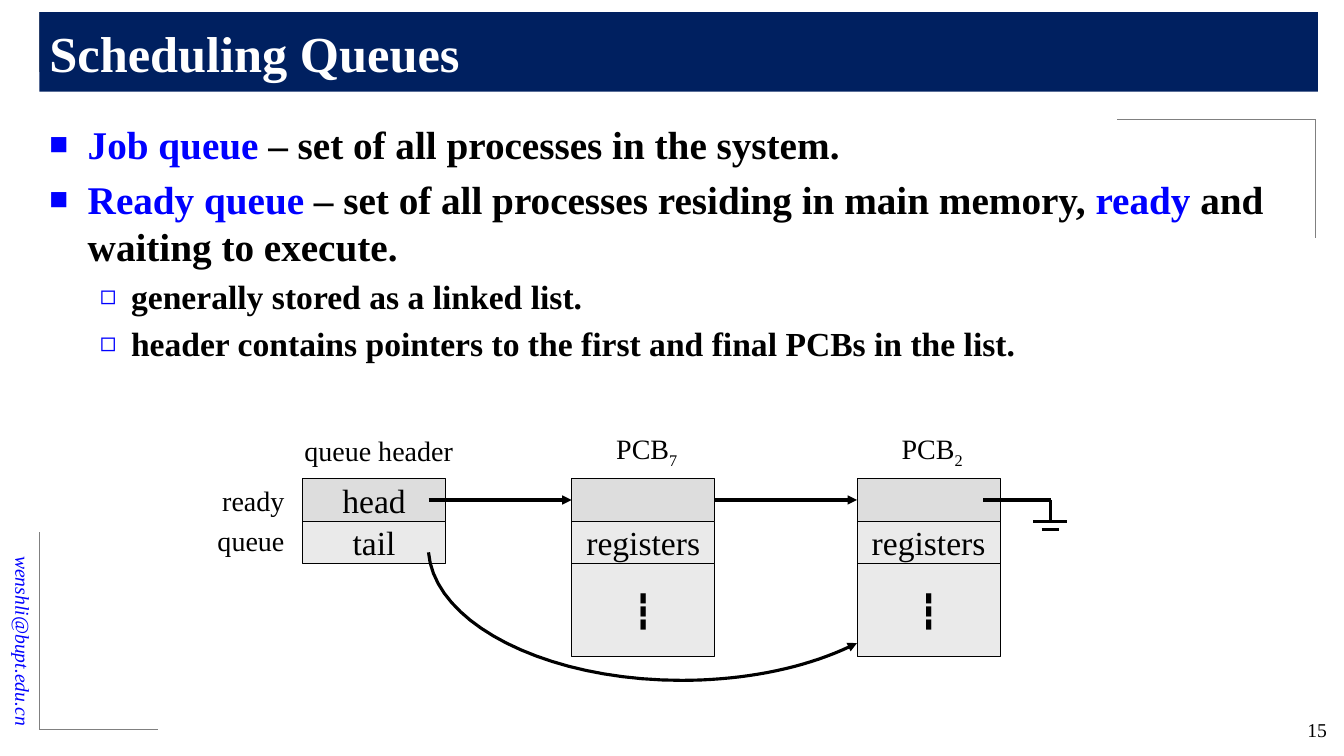
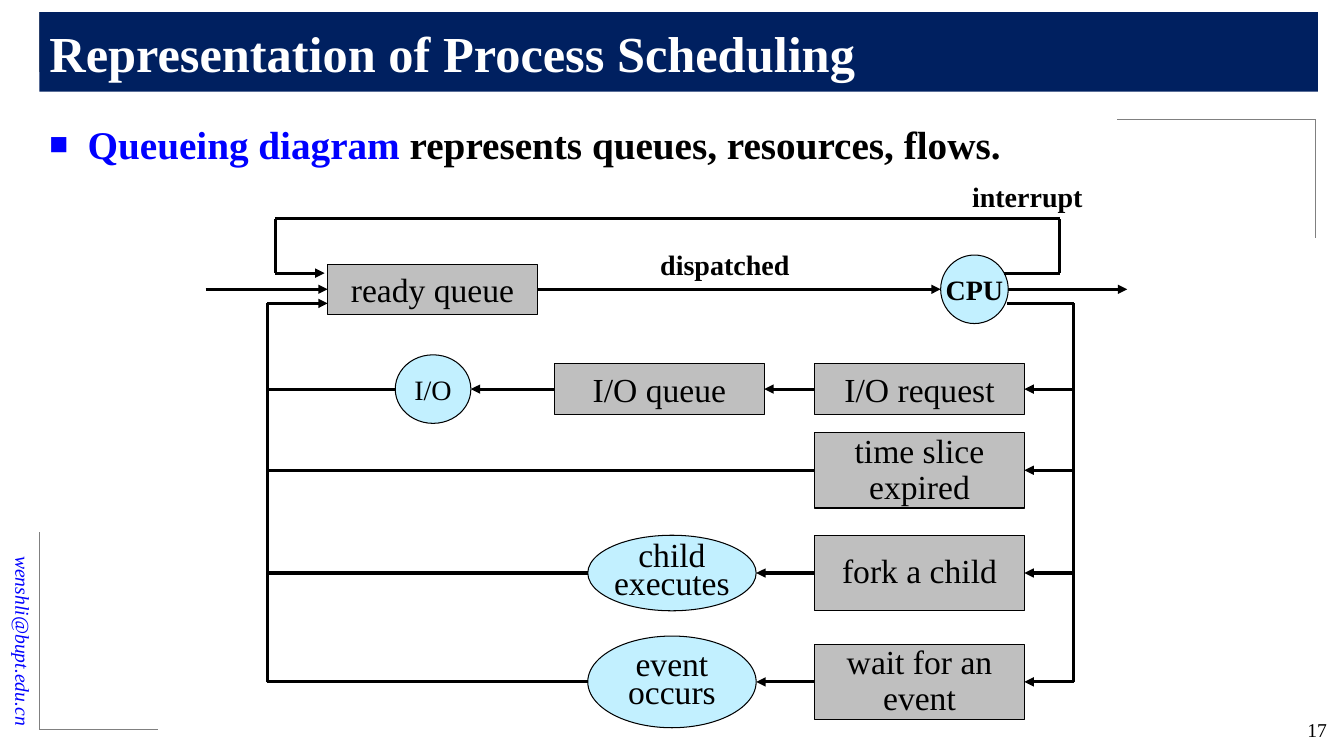
"""Build two slides on process scheduling queues."""
import dataclasses

import lxml.etree
import pptx
import pptx.dml.color
import pptx.enum.shapes
import pptx.enum.text
import pptx.oxml.ns
import pptx.shapes.base
import pptx.util

Inches = pptx.util.Inches
Pt = pptx.util.Pt
Shape = pptx.enum.shapes.MSO_SHAPE
Align = pptx.enum.text.PP_ALIGN
Anchor = pptx.enum.text.MSO_ANCHOR

FONT = "Times New Roman"
COLORS = {
    "navy": "002060", "blue": "0000FF", "black": "000000", "white": "FFFFFF",
    "rule": "808080", "header": "DDDDDD", "cell": "EAEAEA",
    "queue": "BFBFBF", "resource": "C2F0FF",
}
LEFT, RIGHT = 1, 3
LIST_LEVELS = [
    {"size": 28, "margin": 0.38, "hang": 0.38, "bullet": "■"},
    {"size": 24, "margin": 0.81, "hang": 0.31, "bullet": "◻"},
]


def rgb(name):
    """Return the named colour."""
    return pptx.dml.color.RGBColor.from_string(COLORS[name])


def add_element(parent, tag, **attributes):
    """Append a drawing element to a parent and return it."""
    return lxml.etree.SubElement(parent, pptx.oxml.ns.qn(tag), attributes)


def add_span(para, text, size, color="black", bold=False, italic=False):
    """Add one formatted run to a paragraph."""
    span = para.add_run()
    span.text = text
    font = span.font
    font.name, font.size, font.bold, font.italic = FONT, Pt(size), bold, italic
    font.color.rgb = rgb(color)
    return span


def write_lines(frame, lines, size, align=Align.CENTER, spacing=None, **style):
    """Write one paragraph for each line of text."""
    for number, line in enumerate(lines):
        para = frame.add_paragraph() if number else frame.paragraphs[0]
        para.alignment = align
        if spacing:
            para.line_spacing = spacing
        add_span(para, line, size, **style)


def place(shape, left, top, width, height):
    """Move and size a shape."""
    shape.left, shape.top = Inches(left), Inches(top)
    shape.width, shape.height = Inches(width), Inches(height)


def add_arrowhead(line):
    """Put a triangle at the end of a line."""
    add_element(line._get_or_add_ln(), "a:tailEnd", type="triangle")


@dataclasses.dataclass
class Region:
    """A part of a page whose contents are placed from its top left corner."""
    page: object
    left: float
    top: float

    def box(self, left, top, width, height, fill, lines=(), size=24, spacing=None,
            kind=Shape.RECTANGLE, bold=False):
        """Add an outlined shape with centred text."""
        shape = self.page.shapes.add_shape(kind, 0, 0, 0, 0)
        place(shape, self.left + left, self.top + top, width, height)
        shape.shadow.inherit = False
        shape.fill.solid()
        shape.fill.fore_color.rgb = rgb(fill)
        shape.line.color.rgb = rgb("black")
        shape.line.width = Pt(0.75)
        shape.text_frame.word_wrap = False
        shape.text_frame.vertical_anchor = Anchor.MIDDLE
        write_lines(shape.text_frame, lines, size, spacing=spacing, bold=bold)
        return shape

    def label(self, left, top, width, height, text, size=20, align=Align.CENTER,
              wrap=False, **style):
        """Add a line of free text."""
        shape = self.page.shapes.add_textbox(0, 0, 0, 0)
        place(shape, self.left + left, self.top + top, width, height)
        shape.text_frame.word_wrap = wrap
        shape.text_frame.vertical_anchor = Anchor.MIDDLE
        write_lines(shape.text_frame, [text], size, align, **style)
        return shape

    def locate(self, end):
        """Return the position of a point or of the middle of a shape's side."""
        first, second = end
        if isinstance(first, pptx.shapes.base.BaseShape):
            across = first.width if second == RIGHT else 0
            return first.left + across, first.top + first.height // 2
        return Inches(self.left + first), Inches(self.top + second)

    def wire(self, start, finish, arrow=False, color="black", width=2.25):
        """Draw a straight line between points or shape sides."""
        line = self.page.shapes.add_connector(
            pptx.enum.shapes.MSO_CONNECTOR.STRAIGHT,
            *self.locate(start), *self.locate(finish))
        line.line.color.rgb = rgb(color)
        line.line.width = Pt(width)
        if arrow:
            add_arrowhead(line.line)
        add_element(line._element.spPr, "a:effectLst")
        for end, connect in ((start, line.begin_connect), (finish, line.end_connect)):
            target = end[0]
            if (isinstance(target, pptx.shapes.base.BaseShape)
                    and target.auto_shape_type == Shape.RECTANGLE):
                connect(*end)

    def route(self, points, arrow=False, **style):
        """Draw a chain of lines, with an arrow on the last if wanted."""
        for number in range(1, len(points)):
            last = number == len(points) - 1
            self.wire(points[number - 1], points[number], arrow and last, **style)

    def curve(self, start, *pieces):
        """Draw an arrow along a chain of cubic curves."""
        steps = 20
        points = []
        origin = start
        for first, second, finish in pieces:
            for step in range(1, steps + 1):
                t = step / steps
                weights = ((1 - t) ** 3, 3 * t * (1 - t) ** 2,
                           3 * t ** 2 * (1 - t), t ** 3)
                corners = (origin, first, second, finish)
                points.append(self.locate([
                    sum(w * corner[axis] for w, corner in zip(weights, corners))
                    for axis in (0, 1)]))
            origin = finish
        builder = self.page.shapes.build_freeform(*self.locate(start))
        builder.add_line_segments(points, close=False)
        shape = builder.convert_to_shape()
        shape.shadow.inherit = False
        shape.fill.background()
        shape.line.color.rgb = rgb("black")
        shape.line.width = Pt(2.25)
        add_arrowhead(shape.line)


def add_frame(page, number):
    """Add the corner rules, the address and the page number."""
    region = Region(page, 0, 0)
    for corner in (
        [(0.39, 0.71), (0.39, 0.12), (2.36, 0.12)],
        [(0.39, 5.28), (0.39, 7.24), (1.57, 7.24)],
        [(13.05, 2.36), (13.05, 1.18), (11.08, 1.18)],
    ):
        region.route(corner, color="rule", width=0.5)
    address = region.label(-1.09, 5.81, 2.64, 0.34, "wenshli@bupt.edu.cn", 14,
                           Align.RIGHT, True, color="blue", italic=True)
    address.rotation = 90
    region.label(12.15, 7.06, 1.11, 0.36, str(number), 14, Align.RIGHT, True)


def add_title(page, text):
    """Fill the title band and bring it in front of the frame."""
    title = page.shapes.title
    place(title, 0.39, 0.12, 12.68, 0.79)
    title.fill.solid()
    title.fill.fore_color.rgb = rgb("navy")
    frame = title.text_frame
    frame.auto_size = pptx.enum.text.MSO_AUTO_SIZE.NONE
    frame.vertical_anchor = Anchor.MIDDLE
    write_lines(frame, [text], 36, Align.LEFT, color="white", bold=True)
    page.shapes._spTree.append(title._element)


def add_list(page, items):
    """Fill the body with bulleted items, each a level and coloured parts."""
    body = page.placeholders[1]
    place(body, 0.39, 1.14, 12.64, 6.1)
    frame = body.text_frame
    frame.auto_size = pptx.enum.text.MSO_AUTO_SIZE.NONE
    for number, (level, parts) in enumerate(items):
        style = LIST_LEVELS[level]
        para = frame.add_paragraph() if number else frame.paragraphs[0]
        para.level = level
        para.space_before = Pt(0.2 * style["size"] if number else 0)
        properties = para._p.get_or_add_pPr()
        properties.set("marL", str(Inches(style["margin"])))
        properties.set("indent", str(-Inches(style["hang"])))
        tint = add_element(properties, "a:buClr")
        add_element(tint, "a:srgbClr", val=COLORS["blue"])
        add_element(properties, "a:buSzPct", val="80000")
        add_element(properties, "a:buChar", char=style["bullet"])
        for text, color in parts:
            add_span(para, text, style["size"], color, bold=True)


def add_page(deck, number, title, items):
    """Add a slide with the shared parts, a title and a list."""
    page = deck.slides.add_slide(deck.slide_layouts[1])
    add_frame(page, number)
    add_title(page, title)
    add_list(page, items)
    return page


def add_control_block(region, left, number):
    """Draw a process control block and return its link cell."""
    link = region.box(left, 0.5, 1.42, 0.42, "header")
    region.box(left, 0.92, 1.42, 0.42, "cell", ["registers"])
    region.box(left, 1.34, 1.42, 0.92, "cell", ["┇"])
    name = region.label(left + 0.23, 0, 1.03, 0.44, "PCB")
    index = add_span(name.text_frame.paragraphs[0], number, 20)
    index._r.get_or_add_rPr().set("baseline", "-25000")
    return link


def draw_ready_queue(page, left, top):
    """Draw the ready queue as a linked list."""
    region = Region(page, left, top)
    region.box(1, 0.5, 1.42, 0.42, "header", ["head"])
    region.box(1, 0.92, 1.42, 0.42, "cell", ["tail"])
    region.label(-0.3, 0.5, 1.22, 0.43, "ready", align=Align.RIGHT)
    region.label(-0.3, 0.9, 1.22, 0.43, "queue", align=Align.RIGHT)
    region.label(0.92, 0, 2.2, 0.43, "queue header", align=Align.LEFT)
    first = add_control_block(region, 3.67, "7")
    final = add_control_block(region, 6.5, "2")
    region.wire((2.25, 0.71), (first, LEFT), arrow=True)
    region.wire((first, RIGHT), (final, LEFT), arrow=True)
    region.route([(7.75, 0.71), (8.42, 0.71), (8.42, 0.92)])
    region.wire((8.25, 0.92), (8.58, 0.92))
    region.wire((8.33, 1), (8.5, 1))
    region.curve((2.25, 1.23),
                 ((2.31, 1.94), (3.42, 2.5), (4.76, 2.5)),
                 ((5.41, 2.5), (6.03, 2.37), (6.5, 2.13)))


def draw_scheduling(page, left, top):
    """Draw the queueing diagram."""
    region = Region(page, left, top)
    ready = region.box(1.25, 0.92, 2.08, 0.5, "queue", ["ready queue"])
    waiting = region.box(3.5, 1.91, 2.08, 0.5, "queue", ["I/O queue"])
    request = region.box(6.08, 1.91, 2.08, 0.5, "queue", ["I/O request"])
    expired, fork, wait = [
        region.box(6.08, y, 2.08, 0.75, "queue", lines, spacing=0.9)
        for y, lines in ((2.59, ["time slice", "expired"]),
                         (3.61, ["fork a child"]),
                         (4.69, ["wait for an", "event"]))]
    child, event, processor, device = [
        region.box(*bounds, "resource", lines, size, spacing, Shape.OVAL, bold)
        for bounds, lines, size, spacing, bold in (
            ((3.83, 3.61, 1.67, 0.75), ["child", "executes"], 24, 0.7, False),
            ((3.83, 4.61, 1.67, 0.91), ["event", "occurs"], 24, 0.7, False),
            ((7.33, 0.83, 0.67, 0.68), ["CPU"], 20, None, True),
            ((1.92, 1.82, 0.75, 0.68), ["I/O"], 20, None, False))]

    region.wire((0.04, 1.17), (ready, LEFT), arrow=True)
    region.wire((ready, RIGHT), (processor, LEFT), arrow=True)
    region.wire((processor, RIGHT), (9.18, 1.17), arrow=True)
    for source, target in ((request, waiting), (waiting, device),
                           (fork, child), (wait, event)):
        region.wire((source, LEFT), (target, RIGHT), arrow=True)

    supply, back = 8.65, 0.65
    region.route([(7.99, 1.31), (supply, 1.31), (supply, 5.07)])
    region.route([(back, 5.07), (back, 1.31), (1.25, 1.31)], arrow=True)
    for cause, source in ((request, device), (expired, expired),
                          (fork, child), (wait, event)):
        row = (cause.top + cause.height / 2) / Inches(1) - top
        region.wire((supply, row), (cause, RIGHT), arrow=True)
        region.wire((source, LEFT), (back, row))

    region.route([(7.96, 1.01), (8.51, 1.01), (8.51, 0.47), (0.73, 0.47),
                  (0.73, 1.01), (1.22, 1.01)], arrow=True)
    region.label(4.34, 0.7, 1.7, 0.44, "dispatched", bold=True)
    region.label(7.44, 0.03, 1.5, 0.44, "interrupt", bold=True)


def main():
    """Build and save the deck."""
    deck = pptx.Presentation()
    deck.slide_width, deck.slide_height = Inches(13.33), Inches(7.5)
    page = add_page(deck, 15, "Scheduling Queues", [
        (0, [("Job queue ", "blue"),
             ("– set of all processes in the system.", "black")]),
        (0, [("Ready queue ", "blue"),
             ("– set of all processes residing in main memory, ", "black"),
             ("ready", "blue"), (" and waiting to execute.", "black")]),
        (1, [("generally stored as a linked list.", "black")]),
        (1, [("header contains pointers to the first and final PCBs in the list.",
              "black")]),
    ])
    draw_ready_queue(page, 2, 4.25)
    page = add_page(deck, 17, "Representation of Process Scheduling", [
        (0, [("Queueing diagram ", "blue"),
             ("represents queues, resources, flows.", "black")]),
    ])
    draw_scheduling(page, 2, 1.7)
    deck.save("out.pptx")


if __name__ == "__main__":
    main()
